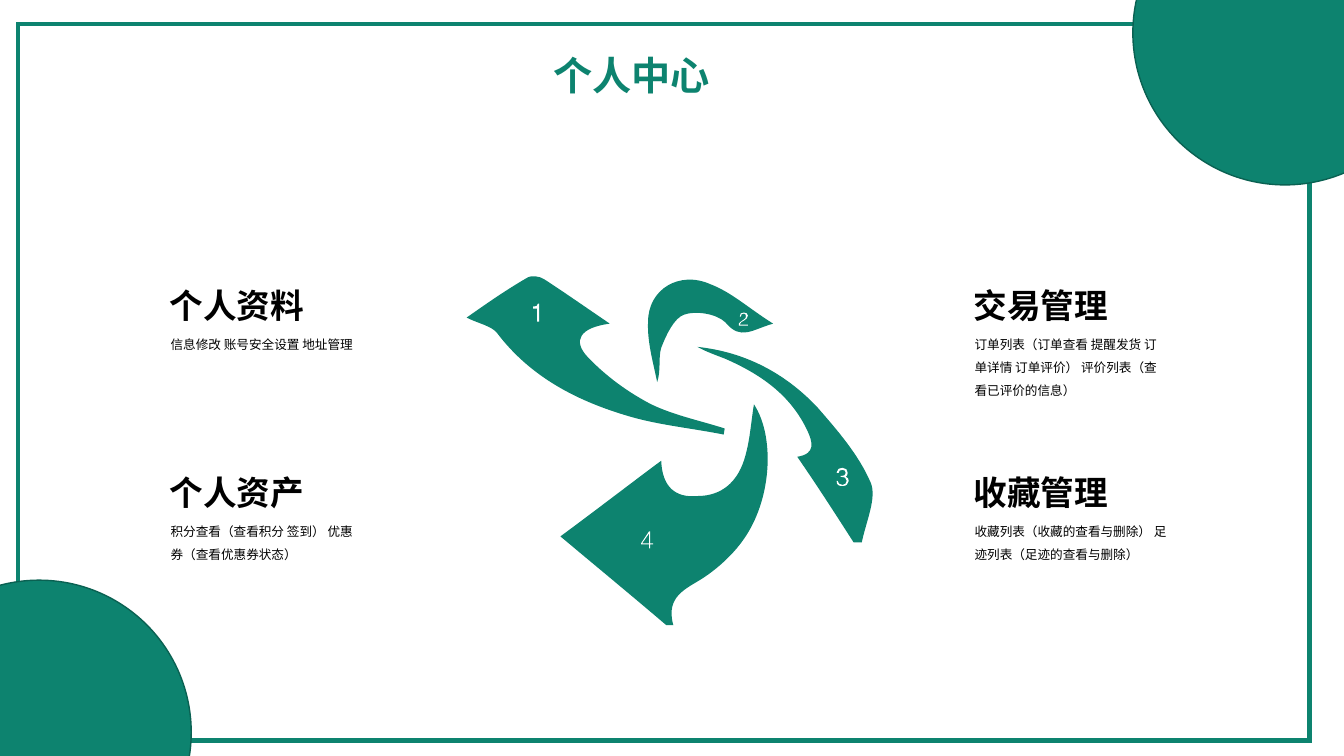
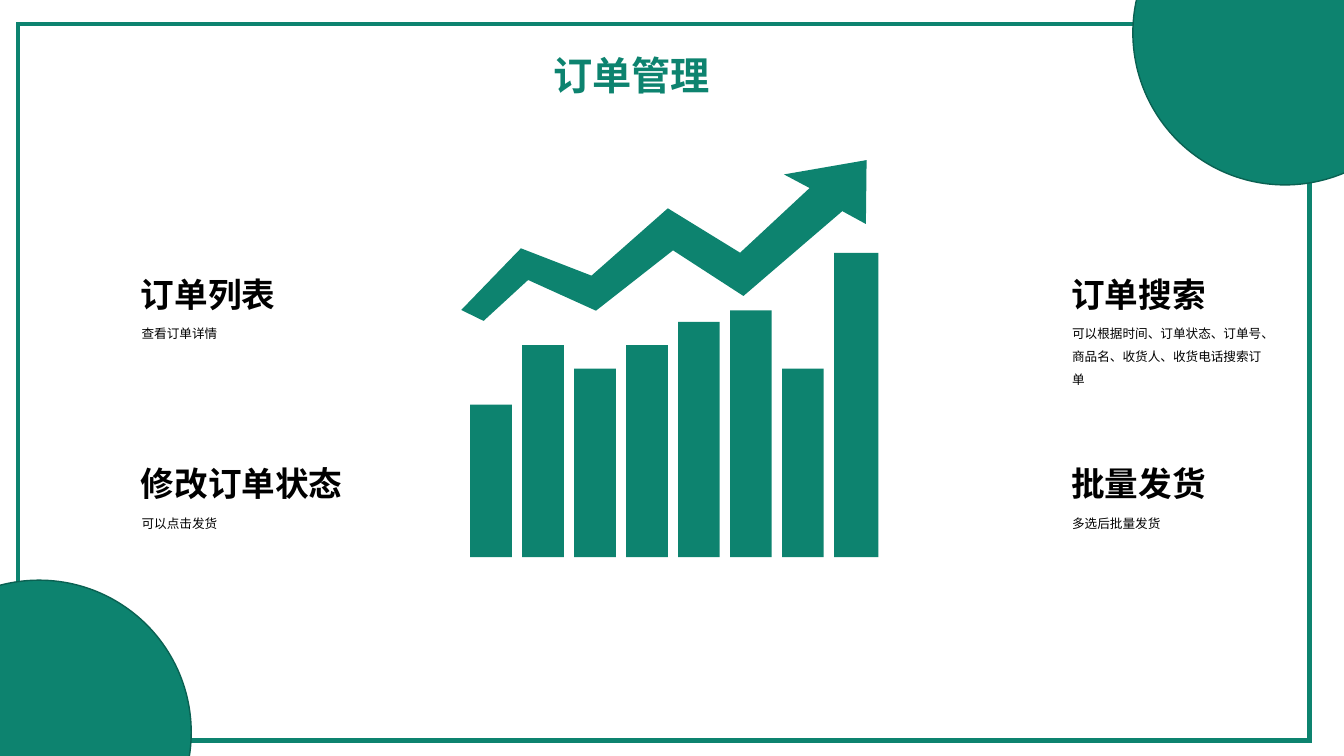
import pptx
import pptx.dml.color
import pptx.enum.shapes
import pptx.enum.text
import pptx.oxml.ns
import pptx.util
from lxml import etree
from pptx.util import Cm

COLORS = {"green": "0D836F", "dark_green": "0A6152", "white": "FFFFFF", "black": "000000"}
FONT = "Calibri"
RECTANGLE = pptx.enum.shapes.MSO_SHAPE.RECTANGLE
OVAL = pptx.enum.shapes.MSO_SHAPE.OVAL
CENTER = pptx.enum.text.PP_ALIGN.CENTER
TOP, MIDDLE = pptx.enum.text.MSO_ANCHOR.TOP, pptx.enum.text.MSO_ANCHOR.MIDDLE
qn = pptx.oxml.ns.qn

# Outlines on a 407 x 352 grid: pairs are straight lines, sixes are Bézier curves
PINWHEEL_GRID = 407
BLADES = [
    [(142, 53), (112, 57, 105, 70, 120, 86), (138, 105, 160, 121, 183, 133),
     (206, 144, 231, 149, 256, 157), (256, 159, 255, 161, 255, 163),
     (225, 157, 194, 154, 165, 146), (112, 131, 64, 107, 30, 62), (24, 55, 12, 53, 0, 47),
     (20, 33, 40, 19, 61, 7), (64, 5, 73, 6, 77, 9), (97, 22, 117, 36, 142, 53)],
    [(304, 53), (283, 59, 272, 70, 257, 52), (248, 43, 227, 40, 216, 44),
     (206, 47, 198, 64, 193, 77), (190, 87, 193, 99, 189, 111),
     (185, 91, 179, 71, 180, 51), (180, 19, 211, 0, 242, 14), (263, 22, 280, 38, 304, 53)],
    [(384, 270), (366, 242, 348, 214, 328, 185), (347, 182, 343, 170, 338, 159),
     (321, 123, 291, 103, 257, 88), (247, 84, 238, 81, 229, 76),
     (276, 81, 316, 102, 348, 136), (368, 159, 389, 183, 401, 211),
     (407, 226, 396, 250, 392, 270), (390, 270, 387, 270, 384, 270)],
    [(198, 352), (164, 323, 130, 295, 93, 264), (127, 239, 158, 215, 193, 189),
     (194, 215, 207, 226, 229, 224), (253, 224, 268, 210, 275, 189),
     (281, 171, 282, 151, 285, 133), (306, 165, 303, 228, 274, 268),
     (264, 282, 250, 295, 235, 305), (218, 316, 197, 323, 205, 352),
     (202, 352, 200, 352, 198, 352)],
]
# Numerals on the same grid, each a list of contours
NUMERALS = [
    [[(71, 33), (72, 33), (72, 51), (70, 51), (70, 38), (66, 38), (66, 36),
      (69, 37, 70, 35, 71, 33)]],
    [[(275, 42), (277, 42, 279, 43, 279, 45), (279, 47, 277, 49, 275, 50),
      (274, 51, 273, 51, 273, 51), (272, 52, 271, 53, 271, 54), (279, 54), (279, 55), (270, 55),
      (270, 53, 270, 52, 271, 52), (272, 51, 273, 50, 275, 49), (277, 48, 277, 47, 277, 45),
      (277, 44, 276, 43, 275, 43), (273, 43, 272, 44, 272, 46), (271, 46),
      (271, 43, 272, 42, 275, 42)]],
    [[(373, 196), (376, 196, 378, 198, 378, 201), (378, 203, 377, 204, 376, 205),
      (378, 205, 379, 207, 379, 209), (378, 212, 377, 214, 373, 214),
      (369, 214, 367, 213, 367, 209), (368, 209), (368, 211, 370, 213, 373, 213),
      (375, 213, 377, 211, 377, 209), (377, 206, 375, 205, 371, 205), (371, 204),
      (375, 204, 376, 203, 376, 201), (376, 199, 375, 198, 373, 198),
      (370, 198, 369, 199, 369, 201), (367, 201), (367, 200, 368, 199, 369, 197),
      (370, 197, 371, 196, 373, 196)]],
    [[(181, 259), (182, 259), (182, 271), (185, 271), (185, 272), (182, 272), (182, 276),
      (181, 276), (181, 272), (173, 272), (173, 271), (181, 259)],
     [(181, 261), (174, 271), (181, 271), (181, 261)]],
]

# Rising arrow on a grid 415 wide, and bar heights in cm
ARROW_GRID = 415
ARROW = [(0, 108), (65, 53), (132, 87), (214, 28), (281, 79), (356, 22), (332, 6), (415, 0),
         (408, 63), (386, 48), (280, 122), (215, 70), (133, 122), (69, 85), (21, 121), (0, 108)]
BAR_HEIGHTS = [3.84, 5.34, 4.75, 5.34, 5.93, 6.22, 4.75, 7.67]


def rgb(name):
    return pptx.dml.color.RGBColor.from_string(COLORS[name])


def paint(shape, fill, line=None, line_width=1):
    shape.shadow.inherit = False
    shape.fill.solid()
    shape.fill.fore_color.rgb = rgb(fill)
    if line:
        shape.line.color.rgb = rgb(line)
        shape.line.width = pptx.util.Pt(line_width)
        outline = shape.element.spPr.find(qn("a:ln"))
        etree.SubElement(outline, qn("a:miter"), lim="800000")
    else:
        shape.line.fill.background()


def add_box(shapes, kind, box, fill, line=None, line_width=1):
    shape = shapes.add_shape(kind, *map(Cm, box))
    paint(shape, fill, line, line_width)
    return shape


def write(text_frame, text, size, color, bold=False, wrap=False, anchor=TOP):
    text_frame.word_wrap = wrap
    text_frame.vertical_anchor = anchor
    paragraph = text_frame.paragraphs[0]
    paragraph.text = text
    paragraph.font.name = FONT
    paragraph.font.size = pptx.util.Pt(size)
    paragraph.font.bold = bold
    paragraph.font.color.rgb = rgb(color)
    return paragraph


def add_outline(shapes, left, top, unit, contours, fill):
    """Draw closed contours; six-number segments become Bézier curves."""
    def place(segment):
        return [(Cm(left + x * unit), Cm(top + y * unit))
                for x, y in zip(segment[::2], segment[1::2])]

    builder = None
    for contour in contours:
        start = place(contour[0])[0]
        if builder is None:
            builder = shapes.build_freeform(*start)
        else:
            builder.move_to(*start)
        builder.add_line_segments([point for segment in contour[1:] for point in place(segment)])
    shape = builder.convert_to_shape()
    paint(shape, fill)
    lines = iter(list(shape.element.iter(qn("a:lnTo"))))
    for segment in (segment for contour in contours for segment in contour[1:]):
        line = next(lines)
        if len(segment) == 6:
            curve = etree.Element(qn("a:cubicBezTo"))
            line.addprevious(curve)
            for part in (line, next(lines), next(lines)):
                curve.append(part[0])
                part.getparent().remove(part)
    return shape


def move_frame_to_layout(slide, layout):
    """Draw the border and corner discs once, on the shared layout."""
    for placeholder in list(layout.placeholders):
        if placeholder.placeholder_format.idx != 0:
            placeholder.element.getparent().remove(placeholder.element)
    diameter = 7.67
    frame = [add_box(slide.shapes, RECTANGLE, (0.46, 0.6, 32.54, 18.06), "white", "green", 3)]
    for left, top in [(28.55, -3.01), (-2.85, 14.62)]:
        disc = (left, top, diameter, diameter)
        frame.append(add_box(slide.shapes, OVAL, disc, "green", "dark_green"))
    for shape in frame:
        layout.shapes.element.append(shape.element)


def add_title(slide, text):
    title = slide.shapes.title
    title.left, title.top, title.width, title.height = map(Cm, (13.67, 1.17, 4.5, 1.45))
    title.text_frame.auto_size = pptx.enum.text.MSO_AUTO_SIZE.NONE
    write(title.text_frame, text, 28, "green", True, anchor=MIDDLE).alignment = CENTER


def add_topics(slide, lefts, top, row_gap, topics):
    """Place headings with details, filling each column from the top down."""
    for index, (heading, detail, line_count) in enumerate(topics):
        column, row = divmod(index, 2)
        left, row_top = lefts[column], top + row * row_gap
        shapes = slide.shapes.add_group_shape().shapes
        heading_box = (left, row_top, 0.51 + 0.85 * len(heading), 1.28)
        text_box = shapes.add_textbox(*map(Cm, heading_box))
        write(text_box.text_frame, heading, 24, "black", True)
        detail_box = (left + 0.02, row_top + 1.13, 5.36, 0.25 + 0.58 * line_count)
        text_box = shapes.add_textbox(*map(Cm, detail_box))
        write(text_box.text_frame, detail, 9, "black", wrap=True).line_spacing = 1.5


def add_pinwheel(slide, left, top, width):
    unit = width / PINWHEEL_GRID
    for blade, numeral in zip(BLADES, NUMERALS):
        shapes = slide.shapes.add_group_shape().shapes
        add_outline(shapes, left, top, unit, [blade], "green")
        add_outline(shapes, left, top, unit, numeral, "white")


def add_rising_arrow(slide, left, top, width):
    arrow = add_outline(slide.shapes, left, top, width / ARROW_GRID, [ARROW], "green")
    arrow.rotation = 354.3


def add_bars(slide, left, base, width):
    shapes = slide.shapes.add_group_shape().shapes
    # Base line
    line = shapes.add_connector(pptx.enum.shapes.MSO_CONNECTOR.STRAIGHT,
                                Cm(left), Cm(base), Cm(left + width), Cm(base))
    line.line.color.rgb = rgb("white")
    line.line.width = pptx.util.Pt(0.5)
    etree.SubElement(line.element.spPr, qn("a:effectLst"))
    # Bars, the last one slightly wider
    for index, height in enumerate(BAR_HEIGHTS):
        bar_width = 1.12 if index == len(BAR_HEIGHTS) - 1 else 1.05
        bar = (left + index * 1.31, base - height, bar_width, height)
        add_box(shapes, RECTANGLE, bar, "green")


def build_personal_center(slide):
    add_title(slide, "个人中心")
    add_pinwheel(slide, 11.76, 6.81, 10.34)
    add_topics(slide, (4.03, 24.29), 7.05, 4.71, [
        ("个人资料", "信息修改 账号安全设置 地址管理", 1),
        ("个人资产", "积分查看（查看积分 签到） 优惠券（查看优惠券状态）", 2),
        ("交易管理", "订单列表（订单查看 提醒发货 订单详情 订单评价） 评价列表（查看已评价的信息）", 3),
        ("收藏管理", "收藏列表（收藏的查看与删除） 足迹列表（足迹的查看与删除）", 2),
    ])


def build_order_management(slide):
    add_title(slide, "订单管理")
    add_rising_arrow(slide, 11.48, 4.55, 10.54)
    add_bars(slide, 11.85, 14.04, 10.29)
    add_topics(slide, (3.3, 26.75), 6.77, 4.78, [
        ("订单列表", "查看订单详情", 1),
        ("修改订单状态", "可以点击发货", 1),
        ("订单搜索", "可以根据时间、订单状态、订单号、商品名、收货人、收货电话搜索订单", 3),
        ("批量发货", "多选后批量发货", 1),
    ])


def main():
    presentation = pptx.Presentation()
    presentation.slide_width, presentation.slide_height = Cm(33.87), Cm(19.05)
    layout = presentation.slide_layouts[5]
    slides = [presentation.slides.add_slide(layout) for _ in range(2)]
    move_frame_to_layout(slides[0], layout)
    build_personal_center(slides[0])
    build_order_management(slides[1])
    presentation.save("out.pptx")


if __name__ == "__main__":
    main()
